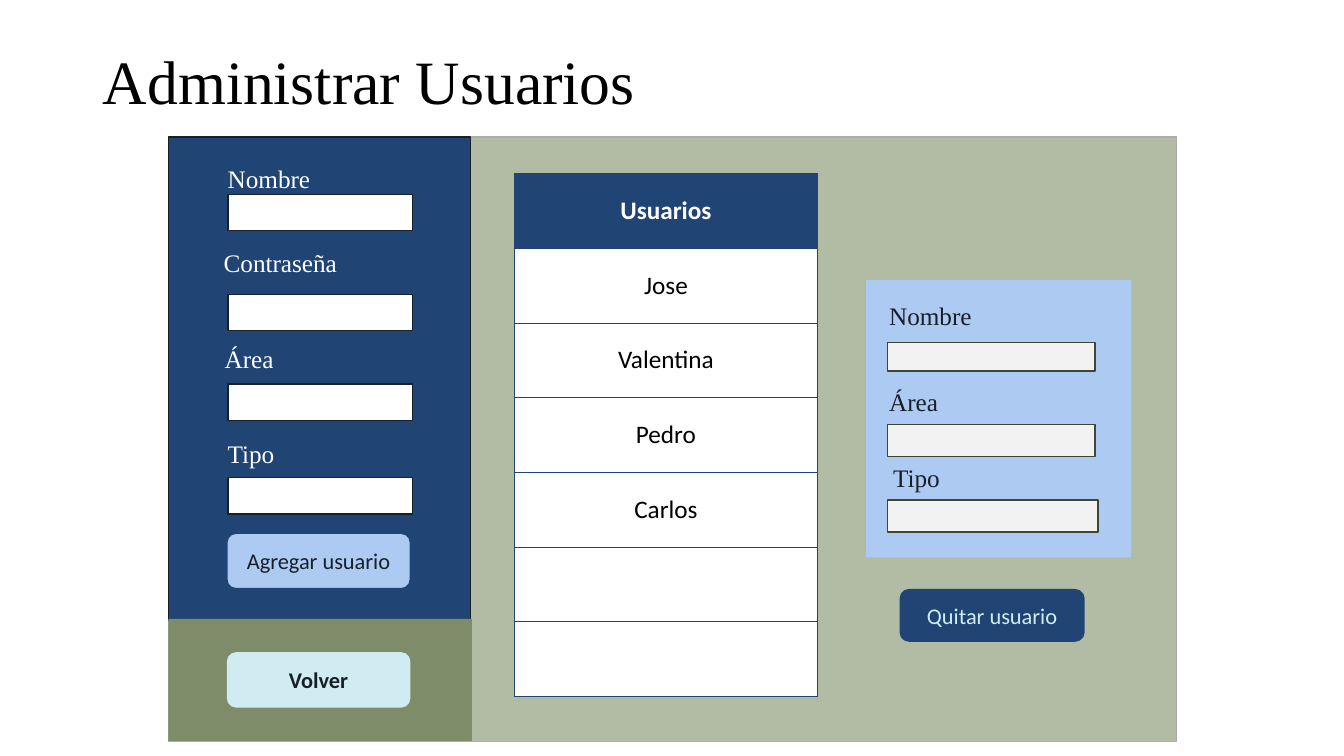
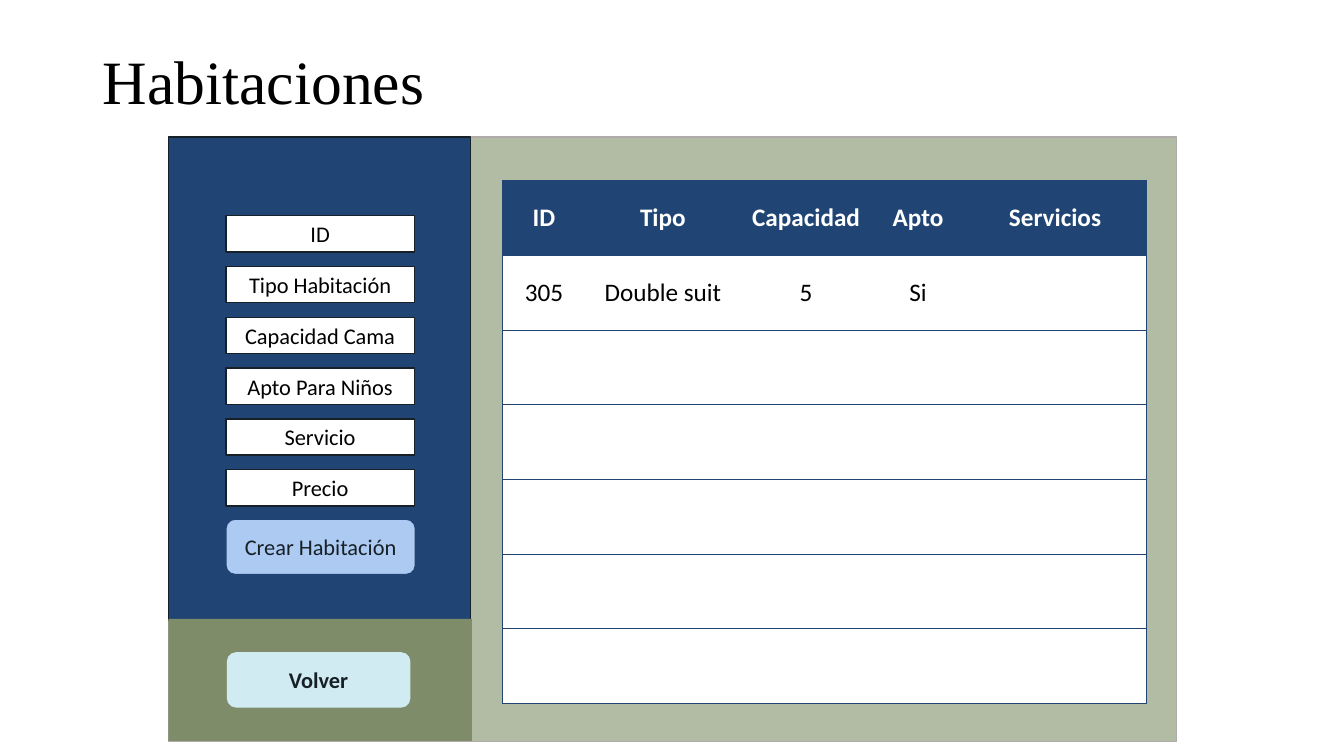
from dataclasses import dataclass

from lxml import etree
from pptx import Presentation
from pptx.dml.color import RGBColor
from pptx.enum.shapes import MSO_SHAPE as SHAPE
from pptx.enum.text import MSO_ANCHOR as ANCHOR, MSO_AUTO_SIZE as AUTO, PP_ALIGN as ALIGN
from pptx.oxml.ns import qn
from pptx.util import Inches, Pt


@dataclass(frozen=True)
class Theme:
    navy: str = "204473"
    ink: str = "172026"
    sage: str = "B2BBA4"
    olive: str = "7E8C69"
    moss: str = "3F4634"
    sky: str = "ACCAF2"
    ice: str = "D0ECF2"
    grey: str = "AFABAB"
    pale: str = "F2F2F2"
    white: str = "FFFFFF"
    black: str = "000000"
    serif: str = "Times New Roman"
    sans: str = "Calibri"
    title: int = 44
    label: int = 18
    button: int = 16
    edge: float = 1
    rule: float = 0.5


T = Theme()

TITLE_BOX = (0.92, 0.4, 11.5, 0.88)
WINDOW = (1.67, 1.36, 10, 6)
SIDEBAR = (1.67, 1.36, 3, 4.79)
BACK_BAND = (1.67, 6.14, 3.01, 1.21)
BACK_BUTTON = (2.25, 6.47, 1.82, 0.55)
ROW_HEIGHT = 5.19 / 7

USERS = {
    "title": "Administrar Usuarios",
    "table": {
        "at": (5.1, 1.72),
        "widths": [3.01],
        "rows": [["Usuarios"], ["Jose"], ["Valentina"], ["Pedro"], ["Carlos"], [""], [""]],
    },
    "new_user": [
        ("Nombre", (2.16, 1.57), 1.93),
        ("Contraseña", (2.12, 2.4), 2.92),
        ("Área", (2.13, 3.36), 3.81),
        ("Tipo", (2.16, 4.3), 4.74),
    ],
    "card": (8.59, 2.78, 2.63, 2.75),
    "selected_user": [
        ("Nombre", (8.72, 2.93), (8.8, 3.4, 2.06, 0.28)),
        ("Área", (8.72, 3.78), (8.8, 4.21, 2.06, 0.32)),
        ("Tipo", (8.76, 4.54), (8.8, 4.96, 2.09, 0.32)),
    ],
    "add": ("Agregar usuario", (2.25, 5.29, 1.82, 0.55)),
    "remove": ("Quitar usuario", (8.93, 5.85, 1.82, 0.51)),
}

ROOMS = {
    "title": "Habitaciones",
    "table": {
        "at": (4.98, 1.79),
        "widths": [0.83, 1.53, 1.31, 0.91, 1.81],
        "rows": [
            ["ID", "Tipo", "Capacidad", "Apto", "Servicios"],
            ["305", "Double suit", "5", "Si", ""],
        ] + [[""] * 5] * 5,
    },
    "fields": ["ID", "Tipo Habitación", "Capacidad Cama", "Apto Para Niños", "Servicio", "Precio"],
    "field_tops": (2.14, 4.66),
    "add": ("Crear Habitación", (2.24, 5.15, 1.88, 0.55)),
}


def rgb(color):
    return RGBColor.from_string(color)


def apply(obj, **values):
    for name, value in values.items():
        setattr(obj, name, value)


def write(tf, text, size, font, color, bold=False, **paragraph):
    p = tf.paragraphs[0]
    apply(p, **paragraph)
    r = p.add_run()
    r.text = text
    apply(r.font, size=Pt(size), name=font, bold=bold)
    r.font.color.rgb = rgb(color)


def add_box(s, at, fill, line=None, kind=SHAPE.RECTANGLE):
    sp = s.shapes.add_shape(kind, *map(Inches, at))
    sp.shadow.inherit = False
    sp.fill.solid()
    sp.fill.fore_color.rgb = rgb(fill)
    if line:
        sp.line.color.rgb = rgb(line)
        sp.line.width = Pt(T.edge)
    else:
        sp.line.fill.background()
    return sp


def add_caption(sp, text, color, bold=False):
    apply(sp.text_frame, word_wrap=True, vertical_anchor=ANCHOR.MIDDLE)
    write(sp.text_frame, text, T.button, T.sans, color, bold, alignment=ALIGN.CENTER)


def add_button(s, text, at, fill, color, line=T.navy, bold=False):
    add_caption(add_box(s, at, fill, line, SHAPE.ROUNDED_RECTANGLE), text, color, bold)


def add_label(s, text, at, color):
    tf = s.shapes.add_textbox(*map(Inches, (*at, 1.63, 0.4))).text_frame
    apply(tf, word_wrap=True, auto_size=AUTO.SHAPE_TO_FIT_TEXT)
    write(tf, text, T.label, T.serif, color, space_after=Pt(6))


def set_border(cell, side, visible):
    ln = etree.SubElement(cell._tc.get_or_add_tcPr(), qn(f"a:ln{side}"), w=str(Pt(T.rule)))
    if visible:
        fill = etree.SubElement(ln, qn("a:solidFill"))
        etree.SubElement(fill, qn("a:srgbClr"), val=T.navy)
    else:
        etree.SubElement(ln, qn("a:noFill"))


def add_grid(s, at, widths, rows):
    size = (sum(widths), ROW_HEIGHT * len(rows))
    table = s.shapes.add_table(len(rows), len(widths), *map(Inches, (*at, *size))).table
    table.horz_banding = False
    for column, width in zip(table.columns, widths):
        column.width = Inches(width)
    for i, row in enumerate(rows):
        table.rows[i].height = Inches(ROW_HEIGHT)
        header = i == 0
        for j, text in enumerate(row):
            cell = table.cell(i, j)
            cell.vertical_anchor = ANCHOR.MIDDLE
            sides = {"L": j == 0, "R": j == len(row) - 1, "T": True, "B": True}
            for side, visible in sides.items():
                set_border(cell, side, visible)
            cell.fill.solid()
            cell.fill.fore_color.rgb = rgb(T.navy if header else T.white)
            if text:
                write(cell.text_frame, text, T.label, T.sans,
                      T.white if header else T.black, header, alignment=ALIGN.CENTER)


def add_screen(prs, content):
    s = prs.slides.add_slide(prs.slide_layouts[5])
    title = s.shapes.title
    apply(title, **dict(zip(("left", "top", "width", "height"), map(Inches, TITLE_BOX))))
    apply(title.text_frame, vertical_anchor=ANCHOR.MIDDLE, auto_size=AUTO.NONE)
    write(title.text_frame, content["title"], T.title, T.serif, T.black,
          alignment=ALIGN.LEFT, line_spacing=0.9)
    add_box(s, WINDOW, T.sage, T.grey)
    add_box(s, SIDEBAR, T.navy, T.ink)
    add_box(s, BACK_BAND, T.olive)
    add_button(s, "Volver", BACK_BUTTON, T.ice, T.ink, line=None, bold=True)
    add_button(s, *content["add"], T.sky, T.ink)
    add_grid(s, **content["table"])
    return s


def add_users(prs):
    s = add_screen(prs, USERS)
    for text, at, field_top in USERS["new_user"]:
        add_box(s, (2.26, field_top, 1.83, 0.36), T.white, T.ink)
        add_label(s, text, at, T.white)
    add_box(s, USERS["card"], T.sky)
    for text, at, field in USERS["selected_user"]:
        add_box(s, field, T.pale, T.moss)
        add_label(s, text, at, T.ink)
    add_button(s, *USERS["remove"], T.navy, T.ice)


def add_rooms(prs):
    s = add_screen(prs, ROOMS)
    first, last = ROOMS["field_tops"]
    step = (last - first) / (len(ROOMS["fields"]) - 1)
    for i, text in enumerate(ROOMS["fields"]):
        field = add_box(s, (2.24, first + i * step, 1.87, 0.36), T.white, T.ink)
        add_caption(field, text, T.black)


def main():
    prs = Presentation()
    apply(prs, slide_width=Inches(13.33), slide_height=Inches(7.5))
    add_users(prs)
    add_rooms(prs)
    prs.save("out.pptx")


if __name__ == "__main__":
    main()
